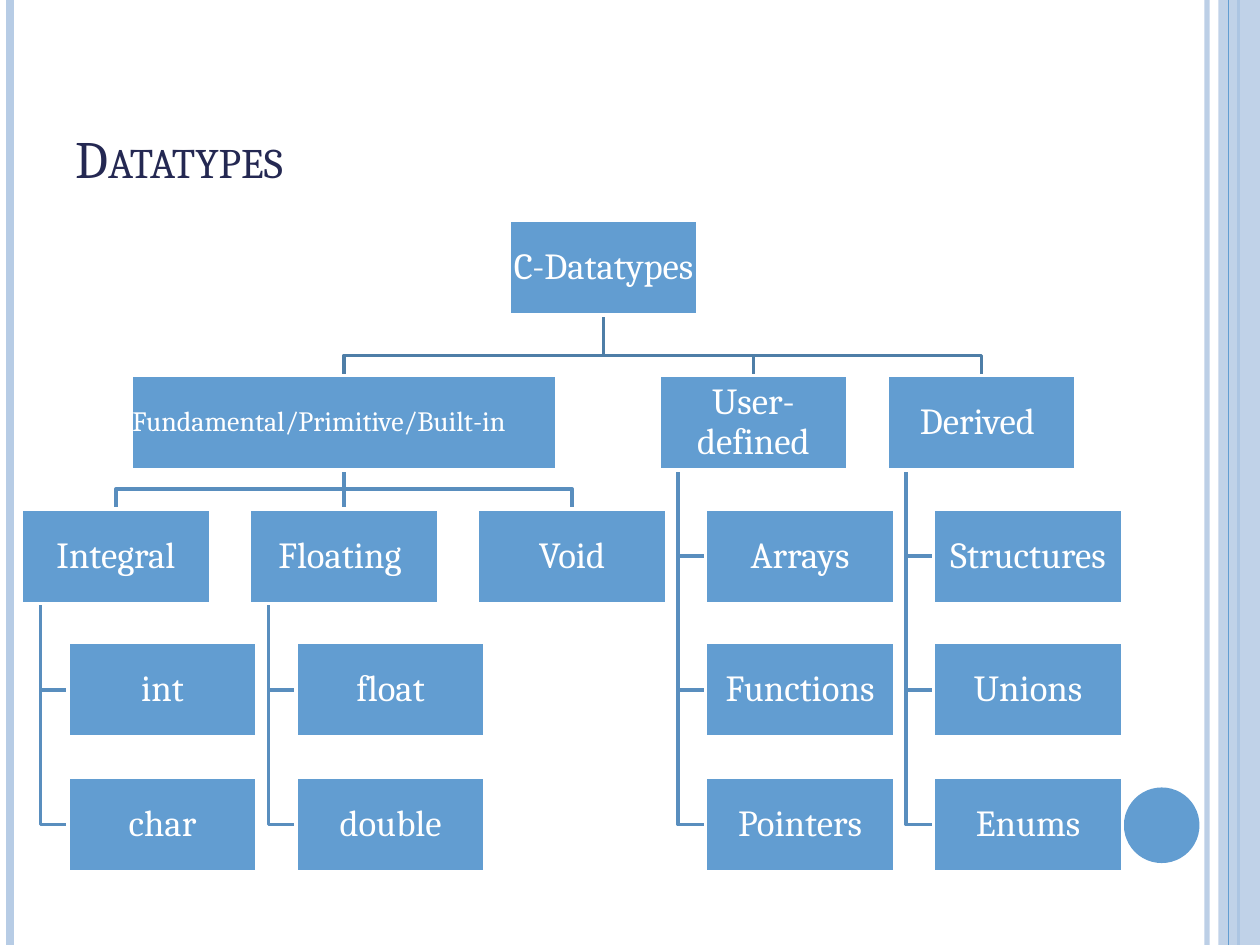
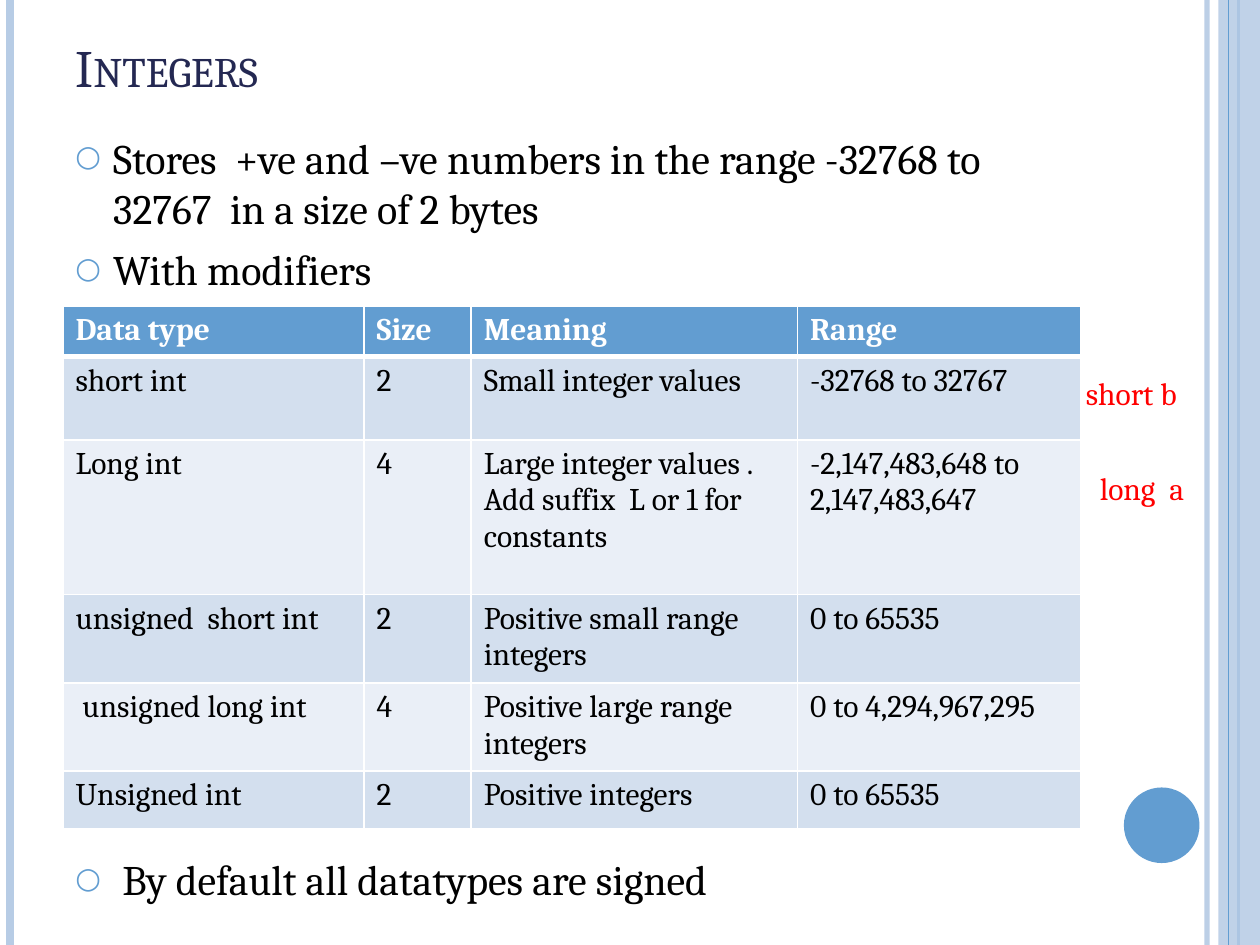
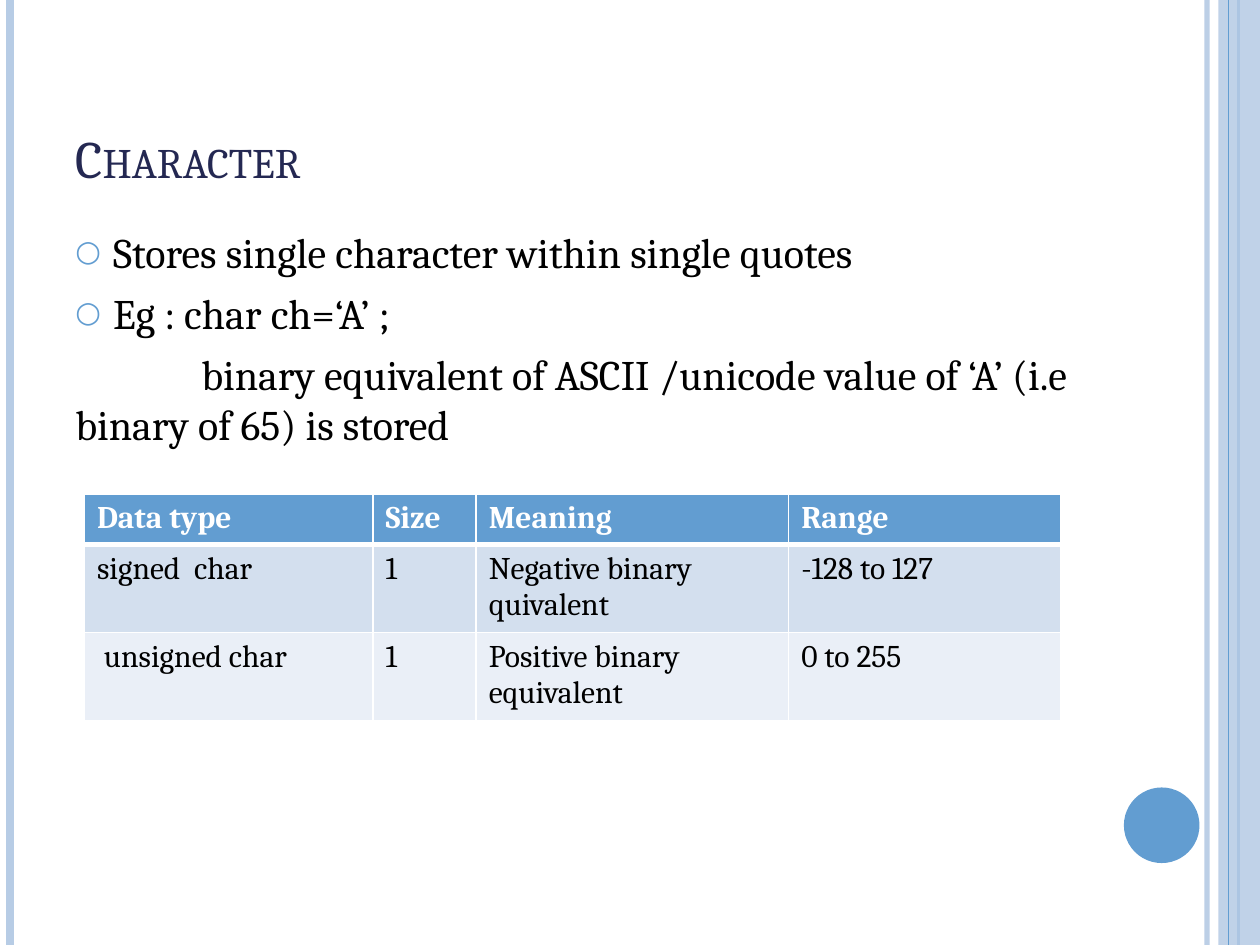
from dataclasses import dataclass
from typing import NamedTuple

import pptx
import pptx.dml.color
import pptx.enum.shapes
import pptx.enum.text
import pptx.oxml
import pptx.oxml.ns
import pptx.util

Inches = pptx.util.Inches
Pt = pptx.util.Pt
PP_ALIGN = pptx.enum.text.PP_ALIGN
ANCHOR = pptx.enum.text.MSO_ANCHOR
SHAPE = pptx.enum.shapes.MSO_SHAPE
STRAIGHT = pptx.enum.shapes.MSO_CONNECTOR.STRAIGHT
qn = pptx.oxml.ns.qn


@dataclass(frozen=True)
class Theme:
    font: str = "Cambria"
    title: str = "242852"
    text: str = "000000"
    white: str = "FFFFFF"
    accent: str = "629DD1"
    band: str = "B7CCE5"
    root_link: str = "4E7EA7"
    link: str = "598EBE"
    note: str = "FF0000"
    row_fills: tuple[str, str] = ("D3DFEE", "EAEFF7")
    title_size: int = 30
    body_size: int = 24
    node_size: int = 21
    table_size: int = 18
    small_size: int = 16


THEME = Theme()


class Rule(NamedTuple):
    x: float
    color: str
    weight: float
    opacity: int = 100


class Box(NamedTuple):
    left: float
    top: float
    width: float
    height: float

    def lengths(self) -> list:
        return [Inches(value) for value in self]


class Item(NamedTuple):
    text: str
    space_before: int = 6
    bullet: bool = True


@dataclass(frozen=True)
class Node:
    text: str
    left: float
    level: int
    children: tuple["Node", ...] = ()
    hanging: bool = False
    width: float = 1.5
    size: int = THEME.node_size
    align: PP_ALIGN = PP_ALIGN.CENTER

    @property
    def top(self) -> float:
        return LEVEL_TOPS[self.level]

    @property
    def bottom(self) -> float:
        return self.top + NODE_HEIGHT

    @property
    def center(self) -> float:
        return self.left + self.width / 2

    @property
    def middle(self) -> float:
        return self.top + NODE_HEIGHT / 2


LEVEL_TOPS = (1.75, 2.98, 4.04, 5.1, 6.17)
NODE_HEIGHT = 0.75
LEAF_INDENT = 0.37
TRUNK_INDENT = 0.15
BUS_GAP = 0.16
COLUMN_PITCH = 1.81
FIRST_COLUMN = 0.17
USER_COLUMN = 5.23

RULES_BELOW = (
    Rule(9.58, THEME.band, 3, 93),
    Rule(0.08, THEME.band, 4.5),
    Rule(9.83, THEME.accent, 1.5),
)
RULE_ABOVE = Rule(9.75, THEME.accent, 0.75)
SIDE_BAND = Box(9.67, 0, 0.33, 7.5)
PAGE_DOT = Box(8.92, 6.25, 0.6, 0.6)
TABLE_HEADER = ("Data type", "Size", "Meaning", "Range")


def color(value: str) -> pptx.dml.color.RGBColor:
    return pptx.dml.color.RGBColor.from_string(value)


def set_opacity(element, percent: int) -> None:
    if percent < 100:
        fill = next(element.iter(qn("a:srgbClr")))
        fill.append(pptx.oxml.parse_xml(
            f'<a:alpha {pptx.oxml.ns.nsdecls("a")} val="{percent * 1000}"/>'))


def style_runs(paragraph, size: int, text_color: str, bold: bool = False) -> None:
    for run in paragraph.runs:
        run.font.name = THEME.font
        run.font.size = Pt(size)
        run.font.bold = bold
        run.font.color.rgb = color(text_color)


def add_filled(slide, kind: SHAPE, box: Box, fill: str):
    shape = slide.shapes.add_shape(kind, *box.lengths())
    shape.shadow.inherit = False
    shape.fill.solid()
    shape.fill.fore_color.rgb = color(fill)
    shape.line.fill.background()
    return shape


def add_line(slide, start: tuple[float, float], end: tuple[float, float],
             line_color: str, weight: float):
    connector = slide.shapes.add_connector(
        STRAIGHT, *(Inches(value) for value in (*start, *end)))
    connector.line.color.rgb = color(line_color)
    connector.line.width = Pt(weight)
    properties = connector._element.spPr
    properties.append(properties.makeelement(qn("a:effectLst"), {}))
    return connector


def add_rule(slide, rule: Rule) -> None:
    connector = add_line(slide, (rule.x, 0), (rule.x, 7.5), rule.color, rule.weight)
    set_opacity(connector._element.spPr, rule.opacity)


def add_text_box(slide, box: Box, wrap: bool = True):
    text_frame = slide.shapes.add_textbox(*box.lengths()).text_frame
    text_frame.word_wrap = wrap
    return text_frame


def add_base_slide(presentation, title: str, title_top: float = 0.3):
    slide = presentation.slides.add_slide(presentation.slide_layouts[6])
    for rule in RULES_BELOW:
        add_rule(slide, rule)
    band = add_filled(slide, SHAPE.RECTANGLE, SIDE_BAND, THEME.band)
    set_opacity(band._element.spPr, 87)
    add_rule(slide, RULE_ABOVE)
    add_filled(slide, SHAPE.OVAL, PAGE_DOT, THEME.accent)

    text_frame = add_text_box(slide, Box(0.5, title_top, 8.17, 1.25))
    text_frame.vertical_anchor = ANCHOR.BOTTOM
    text_frame.text = title
    paragraph = text_frame.paragraphs[0]
    style_runs(paragraph, THEME.title_size, THEME.title)
    paragraph.runs[0].font._element.set("cap", "small")
    return slide


def add_body(slide, box: Box, items: tuple[Item, ...]) -> None:
    text_frame = add_text_box(slide, box)
    text_frame.text = "\n".join(item.text for item in items)
    for paragraph, item in zip(text_frame.paragraphs, items):
        paragraph.space_before = Pt(item.space_before)
        style_runs(paragraph, THEME.body_size, THEME.text)
        properties = paragraph._p.get_or_add_pPr()
        margin, indent = (0.3, -0.3) if item.bullet else (0, 1)
        properties.set("marL", str(Inches(margin)))
        properties.set("indent", str(Inches(indent)))
        if item.bullet:
            bullet_color = properties.makeelement(qn("a:buClr"), {})
            bullet_color.append(bullet_color.makeelement(
                qn("a:srgbClr"), {"val": THEME.accent}))
            properties.append(bullet_color)
            for tag, name, value in (("a:buSzPct", "val", "70000"),
                                     ("a:buFont", "typeface", THEME.font),
                                     ("a:buChar", "char", "○")):
                properties.append(properties.makeelement(qn(tag), {name: value}))


def set_borders(cell, top: int, bottom: int) -> None:
    properties = cell._tc.get_or_add_tcPr()
    for index, (side, weight) in enumerate(
            (("L", 1), ("R", 1), ("T", top), ("B", bottom))):
        properties.insert(index, pptx.oxml.parse_xml(
            f'<a:ln{side} {pptx.oxml.ns.nsdecls("a")} w="{Pt(weight)}">'
            f'<a:solidFill><a:srgbClr val="{THEME.white}"/></a:solidFill>'
            f'</a:ln{side}>'))


def add_data_table(slide, left: float, top: float, widths: tuple[float, ...],
                   heights: tuple[float, ...], rows: tuple[tuple[str, ...], ...]) -> None:
    box = Box(left, top, sum(widths), sum(heights))
    table = slide.shapes.add_table(len(heights), len(widths), *box.lengths()).table
    table.horz_banding = False
    for column, width in zip(table.columns, widths):
        column.width = Inches(width)
    for row, height in zip(table.rows, heights):
        row.height = Inches(height)
    for row_index, texts in enumerate((TABLE_HEADER, *rows)):
        header = row_index == 0
        fill = THEME.accent if header else THEME.row_fills[(row_index - 1) % 2]
        for column_index, text in enumerate(texts):
            cell = table.cell(row_index, column_index)
            cell.text = text
            cell.fill.solid()
            cell.fill.fore_color.rgb = color(fill)
            set_borders(cell, 3 if row_index == 1 else 1, 3 if header else 1)
            style_runs(cell.text_frame.paragraphs[0], THEME.table_size,
                       THEME.white if header else THEME.text, header)


def add_node(slide, node: Node):
    box = Box(node.left, node.top, node.width, NODE_HEIGHT)
    shape = add_filled(slide, SHAPE.RECTANGLE, box, THEME.accent)
    shape.line.color.rgb = color(THEME.white)
    shape.line.width = Pt(2)
    text_frame = shape.text_frame
    text_frame.word_wrap = True
    text_frame.vertical_anchor = ANCHOR.MIDDLE
    text_frame.margin_left = text_frame.margin_right = Inches(0.01)
    text_frame.margin_top = text_frame.margin_bottom = Inches(0.01)
    text_frame.text = node.text
    paragraph = text_frame.paragraphs[0]
    paragraph.alignment = node.align
    paragraph.line_spacing = 0.9
    style_runs(paragraph, node.size, THEME.white)
    return shape


def add_elbow(slide, points: list[tuple[float, float]], line_color: str) -> None:
    start, *rest = [(Inches(x), Inches(y)) for x, y in points]
    builder = slide.shapes.build_freeform(*start)
    builder.add_line_segments(rest, close=False)
    shape = builder.convert_to_shape()
    shape.shadow.inherit = False
    shape.fill.background()
    shape.line.color.rgb = color(line_color)
    shape.line.width = Pt(2)


def add_tree(slide, root: Node) -> None:
    nodes = [root]
    for node in nodes:
        nodes.extend(node.children)
    straight_links = []
    for parent in nodes:
        link_color = THEME.root_link if parent is root else THEME.link
        for child in parent.children:
            start, end = (parent.center, parent.bottom), (child.center, child.top)
            if parent.hanging:
                trunk = parent.left + TRUNK_INDENT
                add_elbow(slide, [(trunk, parent.bottom), (trunk, child.middle),
                                  (child.left, child.middle)], link_color)
            elif abs(parent.center - child.center) < 0.01:
                connector = add_line(slide, start, end, link_color, 2)
                straight_links.append((connector, parent, child))
            else:
                bus = child.top - BUS_GAP
                add_elbow(slide, [start, (parent.center, bus),
                                  (child.center, bus), end], link_color)
    shapes = {node.text: add_node(slide, node) for node in nodes}
    for connector, parent, child in straight_links:
        connector.begin_connect(shapes[parent.text], 2)
        connector.end_connect(shapes[child.text], 0)


def branch(text: str, left: float, level: int, *leaves: str) -> Node:
    children = tuple(Node(leaf, left + LEAF_INDENT, level + row)
                     for row, leaf in enumerate(leaves, 1))
    return Node(text, left, level, children, hanging=True)


def build_datatypes(presentation) -> None:
    slide = add_base_slide(presentation, "Datatypes")
    fundamental = Node(
        "Fundamental/Primitive/Built-in", 1.04, 1,
        (branch("Integral", FIRST_COLUMN, 2, "int", "char"),
         branch("Floating ", FIRST_COLUMN + COLUMN_PITCH, 2, "float", "double"),
         branch("Void", FIRST_COLUMN + 2 * COLUMN_PITCH, 2)),
        width=3.38, size=THEME.small_size, align=PP_ALIGN.JUSTIFY)
    add_tree(slide, Node("C-Datatypes", 4.04, 0, (
        fundamental,
        branch("User-defined", USER_COLUMN, 1, "Arrays", "Functions", "Pointers"),
        branch("Derived ", USER_COLUMN + COLUMN_PITCH, 1,
               "Structures", "Unions", "Enums"))))


def build_integers(presentation) -> None:
    slide = add_base_slide(presentation, "Integers", -0.42)
    add_body(slide, Box(0.5, 1, 8.17, 6.5), (
        Item("Stores  +ve and –ve numbers in the range -32768 to  32767  in a size of 2 bytes"),
        Item("With modifiers"),
        Item(" By default all datatypes are signed", space_before=320)))
    add_data_table(
        slide, 0.5, 2.43, (2.39, 0.85, 2.59, 2.25),
        (0.38, 0.66, 1.23, 0.66, 0.66, 0.46),
        (("short int", "2", "Small integer values", "-32768 to 32767"),
         ("Long int", "4", "Large integer values . Add suffix  L or 1 for constants",
          "-2,147,483,648 to 2,147,483,647"),
         ("unsigned  short int", "2", "Positive small range integers", "0 to 65535"),
         (" unsigned long int", "4", "Positive large range integers", "0 to 4,294,967,295"),
         ("Unsigned int", "2", "Positive integers", "0 to 65535")))
    for text, box in (("short b", Box(8.52, 2.92, 1.23, 0.4)),
                      ("long  a", Box(8.63, 3.67, 1.12, 0.4))):
        text_frame = add_text_box(slide, box, wrap=False)
        text_frame.text = text
        style_runs(text_frame.paragraphs[0], THEME.table_size, THEME.note)


def build_character(presentation) -> None:
    slide = add_base_slide(presentation, "Character")
    add_body(slide, Box(0.5, 1.75, 8.17, 5.33), (
        Item("Stores single character within single quotes"),
        Item("Eg : char ch=‘A’ ;"),
        Item("binary equivalent of ASCII /unicode value of ‘A’ (i.e binary of 65) is stored",
             bullet=False)))
    add_data_table(
        slide, 0.67, 3.92, (2.29, 0.82, 2.48, 2.16), (0.38, 0.66, 0.66),
        (("signed  char", "1", "Negative binary quivalent", "-128 to 127"),
         (" unsigned char", "1", "Positive binary equivalent", "0 to 255")))


def main() -> None:
    presentation = pptx.Presentation()
    presentation.slide_width = Inches(10)
    presentation.slide_height = Inches(7.5)
    build_datatypes(presentation)
    build_integers(presentation)
    build_character(presentation)
    presentation.save("out.pptx")


if __name__ == "__main__":
    main()
